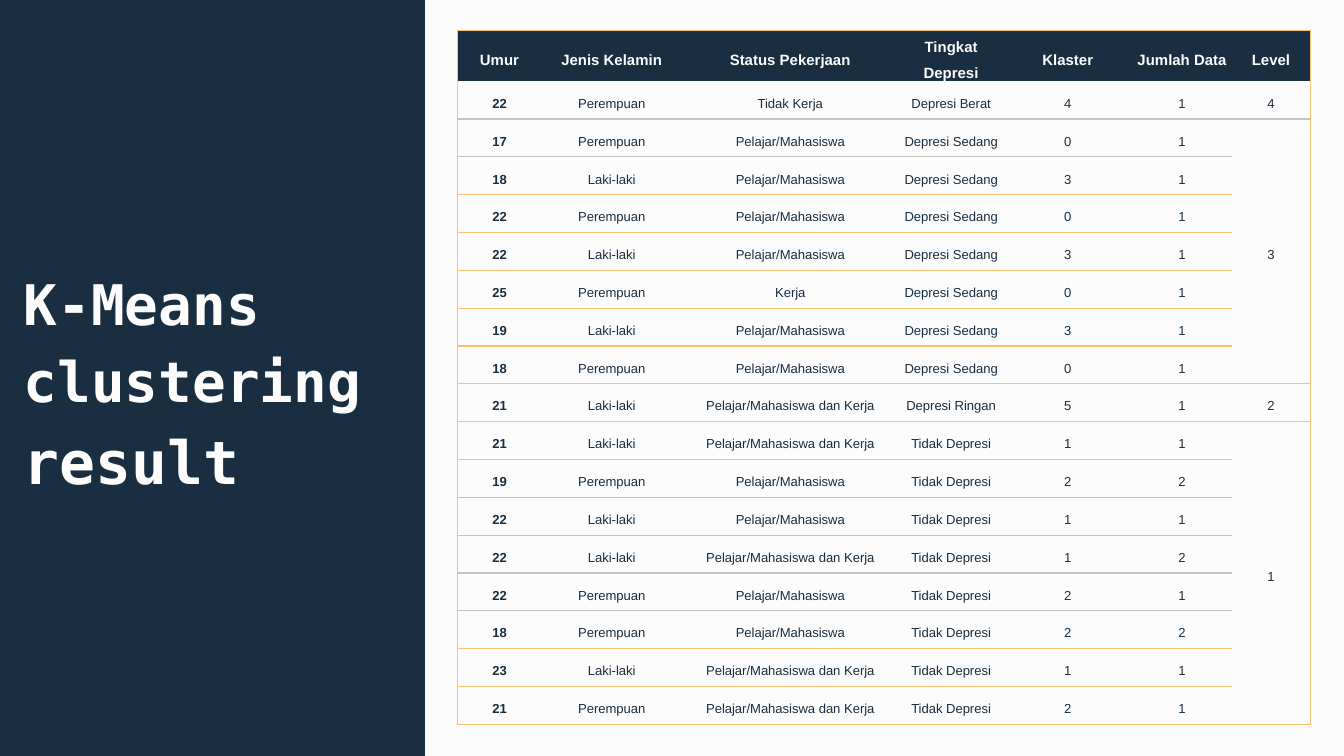
from lxml import etree
from pptx import Presentation
from pptx import util as u
from pptx.dml.color import RGBColor
from pptx.enum import shapes, text
from pptx.oxml.ns import qn

TITLE = [("K-Means clustering ", 30), ("result", 32)]
HEADERS = ["Umur", "Jenis Kelamin", "Status Pekerjaan", "Tingkat Depresi",
           "Klaster", "Jumlah Data", "Level"]
FEMALE, MALE = "Perempuan", "Laki-laki"
STUDENT, BOTH = "Pelajar/Mahasiswa", "Pelajar/Mahasiswa dan Kerja"
MEDIUM, NO_DEPRESSION = "Depresi Sedang", "Tidak Depresi"
PEOPLE = [
    (22, FEMALE, "Tidak Kerja", "Depresi Berat", 4, 1),
    (17, FEMALE, STUDENT, MEDIUM, 0, 1),
    (18, MALE, STUDENT, MEDIUM, 3, 1),
    (22, FEMALE, STUDENT, MEDIUM, 0, 1),
    (22, MALE, STUDENT, MEDIUM, 3, 1),
    (25, FEMALE, "Kerja", MEDIUM, 0, 1),
    (19, MALE, STUDENT, MEDIUM, 3, 1),
    (18, FEMALE, STUDENT, MEDIUM, 0, 1),
    (21, MALE, BOTH, "Depresi Ringan", 5, 1),
    (21, MALE, BOTH, NO_DEPRESSION, 1, 1),
    (19, FEMALE, STUDENT, NO_DEPRESSION, 2, 2),
    (22, MALE, STUDENT, NO_DEPRESSION, 1, 1),
    (22, MALE, BOTH, NO_DEPRESSION, 1, 2),
    (22, FEMALE, STUDENT, NO_DEPRESSION, 2, 1),
    (18, FEMALE, STUDENT, NO_DEPRESSION, 2, 2),
    (23, MALE, BOTH, NO_DEPRESSION, 1, 1),
    (21, FEMALE, BOTH, NO_DEPRESSION, 2, 1),
]
LEVELS = [(4, 1), (3, 7), (2, 1), (1, 8)]
COLUMN_WIDTHS = [1.6, 2.64, 4.11, 1.97, 2.44, 1.88, 1.48]
HEADER_HEIGHT, ROW_HEIGHT = 0.66, 0.715
GREY_LINES_BELOW = {1, 2, 11, 12, 13, 14}
COLORS = {"navy": "192E40", "paper": "FCFCFC", "orange": "FDC073", "grey": "C4C4C4"}


def color(name):
    return RGBColor.from_string(COLORS[name])


def write_text(content, frame, size=7, font="Arial", fill="navy", bold=False,
               align=text.PP_ALIGN.CENTER, spacing=1.5):
    runs = content if isinstance(content, list) else [(str(content), size)]
    paragraph = frame.paragraphs[0]
    paragraph.alignment, paragraph.line_spacing = align, spacing
    for words, points in runs:
        run = paragraph.add_run()
        run.text = words
        run.font.name, run.font.size, run.font.bold = font, u.Pt(points), bold
        run.font.color.rgb = color(fill)


def set_borders(cell, **edges):
    properties = cell._tc.get_or_add_tcPr()
    for side in "LRTB":
        line = etree.SubElement(properties, qn(f"a:ln{side}"), w=str(u.Pt(0.75)))
        if edges.get(side):
            fill = etree.SubElement(line, qn("a:solidFill"))
            etree.SubElement(fill, qn("a:srgbClr"), val=COLORS[edges[side]])
        else:
            etree.SubElement(line, qn("a:noFill"))


def line_below(row):
    if row == 0:
        return None
    return "grey" if row in GREY_LINES_BELOW else "orange"


def add_panel(slide):
    panel = slide.shapes.add_shape(shapes.MSO_SHAPE.RECTANGLE, u.Cm(-0.33), u.Cm(-0.23),
                                   u.Cm(8.36), u.Cm(14.73))
    panel.shadow.inherit = False
    panel.fill.solid()
    panel.fill.fore_color.rgb = color("navy")
    panel.line.fill.background()


def add_results(slide):
    row_count, last = len(PEOPLE) + 1, len(HEADERS) - 1
    frame = slide.shapes.add_table(row_count, len(HEADERS), u.Cm(8.64), u.Cm(0.58),
                                   u.Cm(sum(COLUMN_WIDTHS)), u.Cm(13.1))
    table = frame.table
    table.first_row = table.horz_banding = False
    for column, width in zip(table.columns, COLUMN_WIDTHS):
        column.width = u.Cm(width)
    for index, row in enumerate(table.rows):
        row.height = u.Cm(ROW_HEIGHT if index else HEADER_HEIGHT)
    frame.height = u.Cm(13.1)

    level_at, span_end, start = {}, {}, 1
    for level, span in LEVELS:
        end = start + span - 1
        level_at[start], span_end[start] = level, end
        if span > 1:
            table.cell(start, last).merge(table.cell(end, last))
        start = end + 1
    level_lines = {0, *span_end.values()}

    for row, values in enumerate([HEADERS, *PEOPLE]):
        for column in range(len(HEADERS)):
            cell = table.cell(row, column)
            top = line_below(row - 1) if row else "orange"
            bottom = line_below(row)
            if column == last and row:
                top = top if row - 1 in level_lines else None
                end = span_end.get(row, row)
                bottom = line_below(end) if end in level_lines else None
            set_borders(cell, T=top, B=bottom,
                        L="orange" if column == 0 else None,
                        R="orange" if column == last else None)
            cell.margin_left = cell.margin_right = u.Cm(0.07)
            cell.margin_top = cell.margin_bottom = 0
            cell.vertical_anchor = text.MSO_ANCHOR.MIDDLE
            if row == 0:
                cell.fill.solid()
                cell.fill.fore_color.rgb = color("navy")
                write_text(values[column], cell.text_frame, size=8, fill="paper", bold=True)
                continue
            cell.fill.background()
            if column < last:
                write_text(values[column], cell.text_frame, bold=column == 0)
            elif row in level_at:
                write_text(level_at[row], cell.text_frame)


def place_title(slide):
    title = slide.shapes.title
    title.left, title.top, title.width, title.height = map(u.Cm, (0.2, 4.75, 7.11, 4.78))
    frame = title.text_frame
    frame.word_wrap, frame.auto_size = True, text.MSO_AUTO_SIZE.NONE
    frame.vertical_anchor = text.MSO_ANCHOR.MIDDLE
    frame.margin_left = frame.margin_right = u.Cm(0.25)
    frame.margin_top = frame.margin_bottom = u.Cm(0.25)
    write_text(TITLE, frame, font="DejaVu Sans Mono", fill="paper", bold=True,
               align=text.PP_ALIGN.LEFT, spacing=1.15)
    title._element.getparent().append(title._element)


def main():
    presentation = Presentation()
    presentation.slide_width, presentation.slide_height = u.Cm(25.4), u.Cm(14.29)
    slide = presentation.slides.add_slide(presentation.slide_layouts[5])
    slide.background.fill.solid()
    slide.background.fill.fore_color.rgb = color("paper")
    add_panel(slide)
    add_results(slide)
    place_title(slide)
    presentation.save("out.pptx")


if __name__ == "__main__":
    main()
